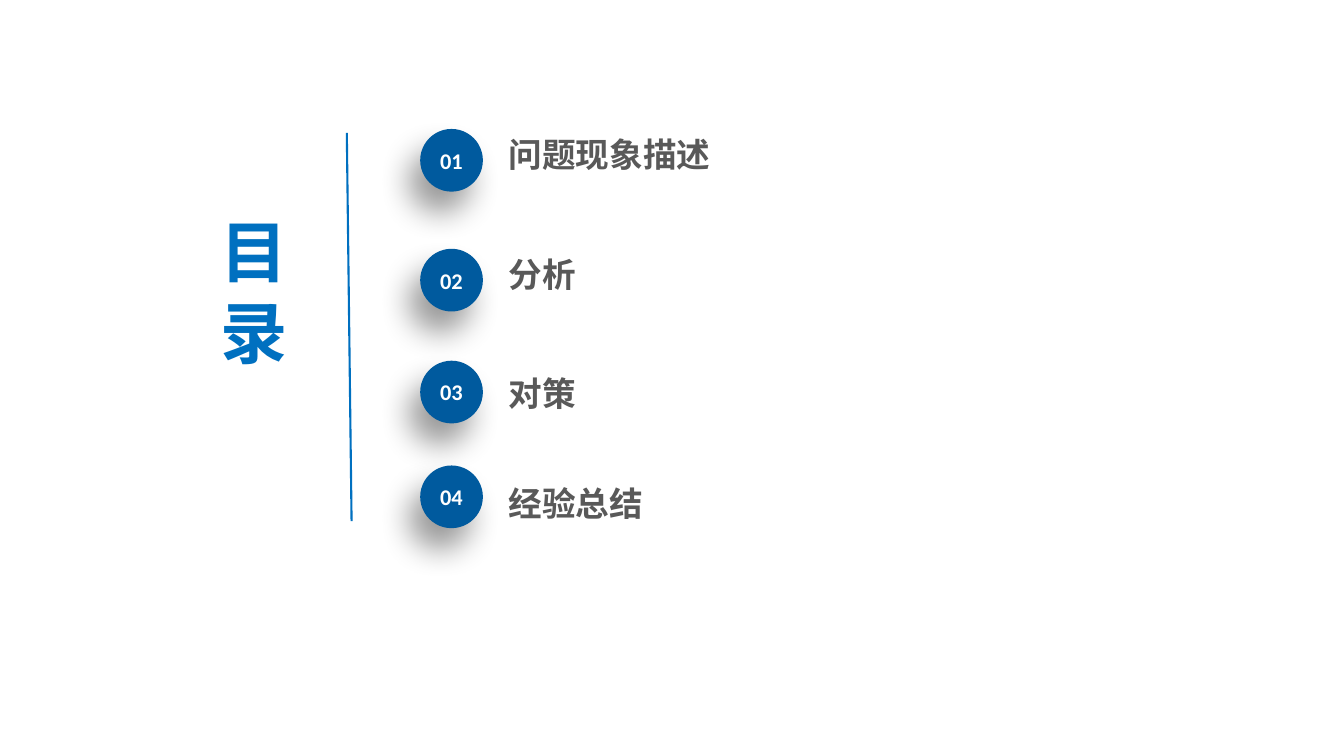
"""Build the agenda slide with a vertical title and four numbered topics."""
import lxml.etree
import pptx
import pptx.dml.color
import pptx.enum.shapes
import pptx.enum.text
import pptx.oxml
import pptx.oxml.ns
import pptx.util

Cm = pptx.util.Cm
COLORS = {"title": "0070C0", "badge": "005A9E", "label": "595959",
          "number": "FFFFFF", "shadow": "000000"}
TOPICS = [("问题现象描述", 3.25, 3.25), ("分析", 6.27, 6.27),
          ("对策", 9.09, 9.27), ("经验总结", 11.73, 12.04)]


class AgendaSlide:
    """Hold the fonts and the slide, and draw each kind of element."""

    latin_font = "Calibri"
    chinese_font = "Noto Sans CJK SC"

    def __init__(self, presentation):
        """Add a title-only slide."""
        self.slide = presentation.slides.add_slide(presentation.slide_layouts[5])

    def color(self, name):
        """Return a named colour."""
        return pptx.dml.color.RGBColor.from_string(COLORS[name])

    def add_run(self, paragraph, text, size, color, font):
        """Add a bold run in one font for all scripts."""
        run = paragraph.add_run()
        run.text = text
        run.font.size = pptx.util.Pt(size)
        run.font.bold = True
        run.font.color.rgb = self.color(color)
        run.font.name = font
        east_asian = lxml.etree.Element(pptx.oxml.ns.qn("a:ea"), typeface=font)
        run.font._element.find(pptx.oxml.ns.qn("a:latin")).addnext(east_asian)

    def add_title(self, characters, left, top, width, height):
        """Stack the title characters in the title placeholder."""
        title = self.slide.shapes.title
        title.left, title.top = Cm(left), Cm(top)
        title.width, title.height = Cm(width), Cm(height)
        frame = title.text_frame
        frame.word_wrap = True
        frame.auto_size = pptx.enum.text.MSO_AUTO_SIZE.NONE
        frame.vertical_anchor = pptx.enum.text.MSO_ANCHOR.TOP
        for index, character in enumerate(characters):
            paragraph = frame.add_paragraph() if index else frame.paragraphs[0]
            paragraph.alignment = pptx.enum.text.PP_ALIGN.LEFT
            self.add_run(paragraph, character, 48, "title", self.chinese_font)

    def add_label(self, text, left, top, width, height):
        """Add a topic label."""
        box = self.slide.shapes.add_textbox(Cm(left), Cm(top), Cm(width), Cm(height))
        box.text_frame.word_wrap = True
        self.add_run(box.text_frame.paragraphs[0], text, 24, "label", self.chinese_font)

    def add_badge(self, text, left, top, diameter):
        """Add a numbered circle with a soft shadow."""
        badge = self.slide.shapes.add_shape(
            pptx.enum.shapes.MSO_SHAPE.OVAL,
            Cm(left), Cm(top), Cm(diameter), Cm(diameter))
        badge.fill.solid()
        badge.fill.fore_color.rgb = self.color("badge")
        badge.line.fill.background()
        badge.shadow.inherit = False
        effects = badge._element.spPr.find(pptx.oxml.ns.qn("a:effectLst"))
        effects.append(pptx.oxml.parse_xml(
            f'<a:outerShdw {pptx.oxml.ns.nsdecls("a")} blurRad="{pptx.util.Pt(23)}" '
            f'dist="{pptx.util.Pt(17)}" dir="{118 * 60000}" algn="ctr" rotWithShape="0">'
            f'<a:srgbClr val="{COLORS["shadow"]}"><a:alpha val="40000"/></a:srgbClr>'
            '</a:outerShdw>'))
        frame = badge.text_frame
        frame.word_wrap = False
        frame.margin_left = frame.margin_right = 0
        frame.vertical_anchor = pptx.enum.text.MSO_ANCHOR.MIDDLE
        paragraph = frame.paragraphs[0]
        paragraph.alignment = pptx.enum.text.PP_ALIGN.CENTER
        self.add_run(paragraph, text, 16, "number", self.latin_font)

    def add_divider(self, start_x, start_y, end_x, end_y):
        """Add the line between title and topics."""
        divider = self.slide.shapes.add_connector(
            pptx.enum.shapes.MSO_CONNECTOR.STRAIGHT,
            Cm(start_x), Cm(start_y), Cm(end_x), Cm(end_y))
        divider.line.color.rgb = self.color("title")
        divider.line.width = pptx.util.Pt(1.5)
        lxml.etree.SubElement(divider._element.spPr, pptx.oxml.ns.qn("a:effectLst"))


def main():
    """Build and save the presentation."""
    presentation = pptx.Presentation()
    presentation.slide_width = Cm(33.87)
    presentation.slide_height = Cm(19.05)
    agenda = AgendaSlide(presentation)
    agenda.add_title("目录", 5.31, 5.18, 2.34, 4.37)
    agenda.add_divider(8.74, 3.35, 8.86, 13.13)
    for number, (topic, badge_top, label_top) in enumerate(TOPICS, start=1):
        agenda.add_badge(f"{number:02d}", 10.59, badge_top, 1.58)
        agenda.add_label(topic, 12.57, label_top, 15.29, 1.27)
    presentation.save("out.pptx")


if __name__ == "__main__":
    main()
